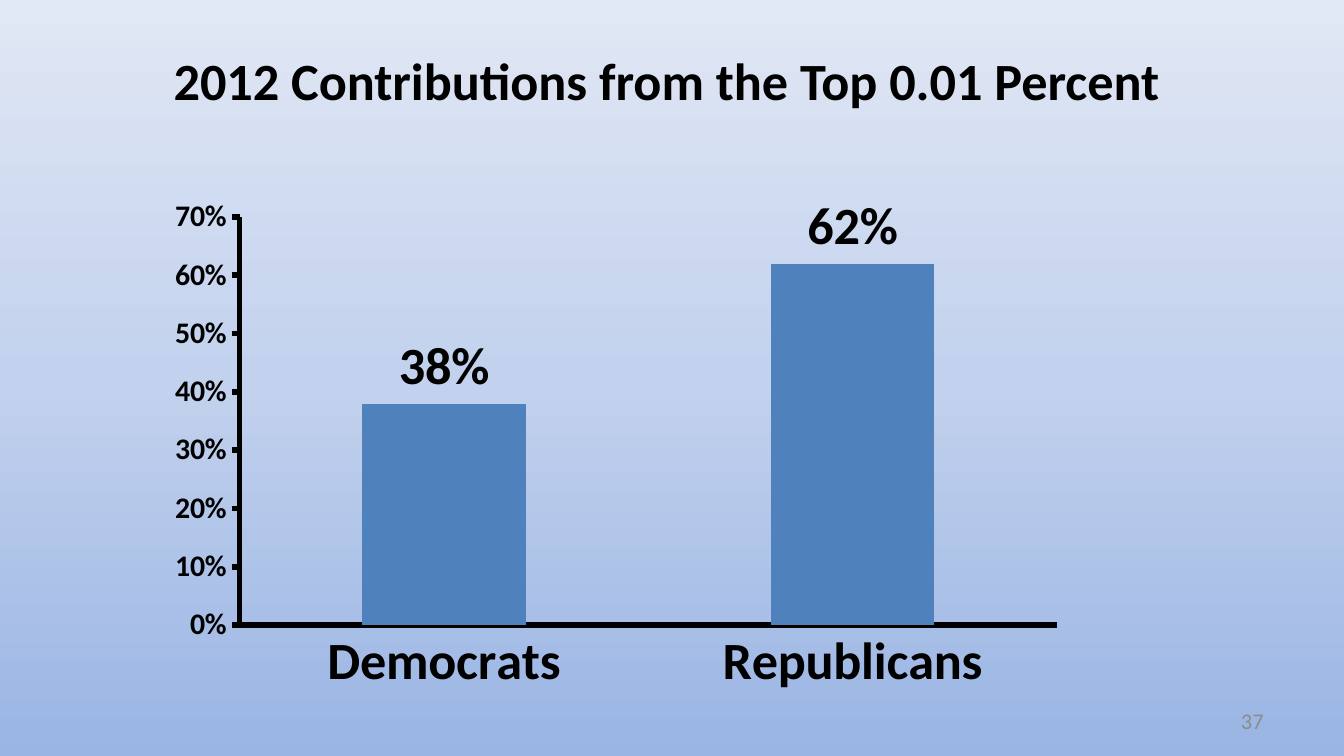
from copy import deepcopy

from pptx import Presentation
from pptx.chart.data import CategoryChartData
from pptx.dml.color import RGBColor
from pptx.enum import chart as c, text as t
from pptx.oxml.ns import qn
from pptx.util import Pt

THEME = {
    "font": "Calibri", "ink": "000000", "muted": "8C8C8C", "bar": "4F81BD",
    "gradient": [(0, "9AB5E4"), (0.5, "C2D1ED"), (1, "E1E8F5")],
    "large": 28, "axis": 16, "small": 12, "axis_line": 3,
}
SLIDE_SIZE = (720, 405)
TITLE = "2012 Contributions from the Top 0.01 Percent"
PAGE_NUMBER = "37"
SHARES = {"Democrats": 0.38, "Republicans": 0.62}
TITLE_BOX = (66, 22.5, 582, 41)
NUMBER_BOX = (516, 375, 168, 21.6)
CHART_BOX = (84, 101, 492, 276)


def apply(target, **values):
    for name, value in values.items():
        setattr(target, name, value)


def style_font(font, size, color="ink", bold=True):
    apply(font, name=THEME["font"], size=Pt(size), bold=bold)
    font.color.rgb = RGBColor.from_string(THEME[color])


def paint_background(page):
    fill = page.background.fill
    fill.gradient()
    fill.gradient_angle = 90
    stop_list = page._element.find(".//" + qn("a:gsLst"))
    stop_list.append(deepcopy(stop_list[0]))
    for stop, (position, color) in zip(fill.gradient_stops, THEME["gradient"]):
        stop.position = position
        stop.color.rgb = RGBColor.from_string(color)


def add_text(page, place, words, align, frame_format, **font_format):
    box = page.shapes.add_textbox(*map(Pt, place))
    apply(box.text_frame, word_wrap=True, **frame_format)
    para = box.text_frame.paragraphs[0]
    para.alignment = align
    span = para.add_run()
    span.text = words
    style_font(span.font, **font_format)


def add_share_chart(page):
    data = CategoryChartData(number_format="0%")
    data.categories = list(SHARES)
    data.add_series("Series 1", list(SHARES.values()))
    chart = page.shapes.add_chart(
        c.XL_CHART_TYPE.COLUMN_CLUSTERED, *map(Pt, CHART_BOX), data).chart
    apply(chart, has_legend=False, has_title=False)
    style_font(chart.font, THEME["large"])

    plot = chart.plots[0]
    apply(plot, gap_width=150, vary_by_categories=False, has_data_labels=True)
    apply(plot.data_labels, show_value=True, number_format="0%",
          number_format_is_linked=False,
          position=c.XL_LABEL_POSITION.OUTSIDE_END)
    style_font(plot.data_labels.font, THEME["large"])
    bars = plot.series[0].format.fill
    bars.solid()
    bars.fore_color.rgb = RGBColor.from_string(THEME["bar"])

    axes = [
        (chart.category_axis, THEME["large"], c.XL_TICK_MARK.NONE),
        (chart.value_axis, THEME["axis"], c.XL_TICK_MARK.OUTSIDE),
    ]
    for axis, size, tick in axes:
        apply(axis, major_tick_mark=tick, minor_tick_mark=c.XL_TICK_MARK.NONE,
              has_major_gridlines=False)
        style_font(axis.tick_labels.font, size)
        axis.format.line.width = Pt(THEME["axis_line"])
        axis.format.line.color.rgb = RGBColor.from_string(THEME["ink"])
    apply(chart.value_axis, minimum_scale=0, maximum_scale=0.7, major_unit=0.1)
    apply(chart.value_axis.tick_labels, number_format="0%",
          number_format_is_linked=False)


def main():
    deck = Presentation()
    deck.slide_width, deck.slide_height = map(Pt, SLIDE_SIZE)
    page = deck.slides.add_slide(deck.slide_layouts[6])
    paint_background(page)
    add_text(page, NUMBER_BOX, PAGE_NUMBER, t.PP_ALIGN.RIGHT,
             {"vertical_anchor": t.MSO_ANCHOR.MIDDLE},
             size=THEME["small"], color="muted", bold=False)
    add_share_chart(page)
    add_text(page, TITLE_BOX, TITLE, t.PP_ALIGN.CENTER,
             {"auto_size": t.MSO_AUTO_SIZE.SHAPE_TO_FIT_TEXT},
             size=THEME["large"])
    deck.save("out.pptx")


if __name__ == "__main__":
    main()
